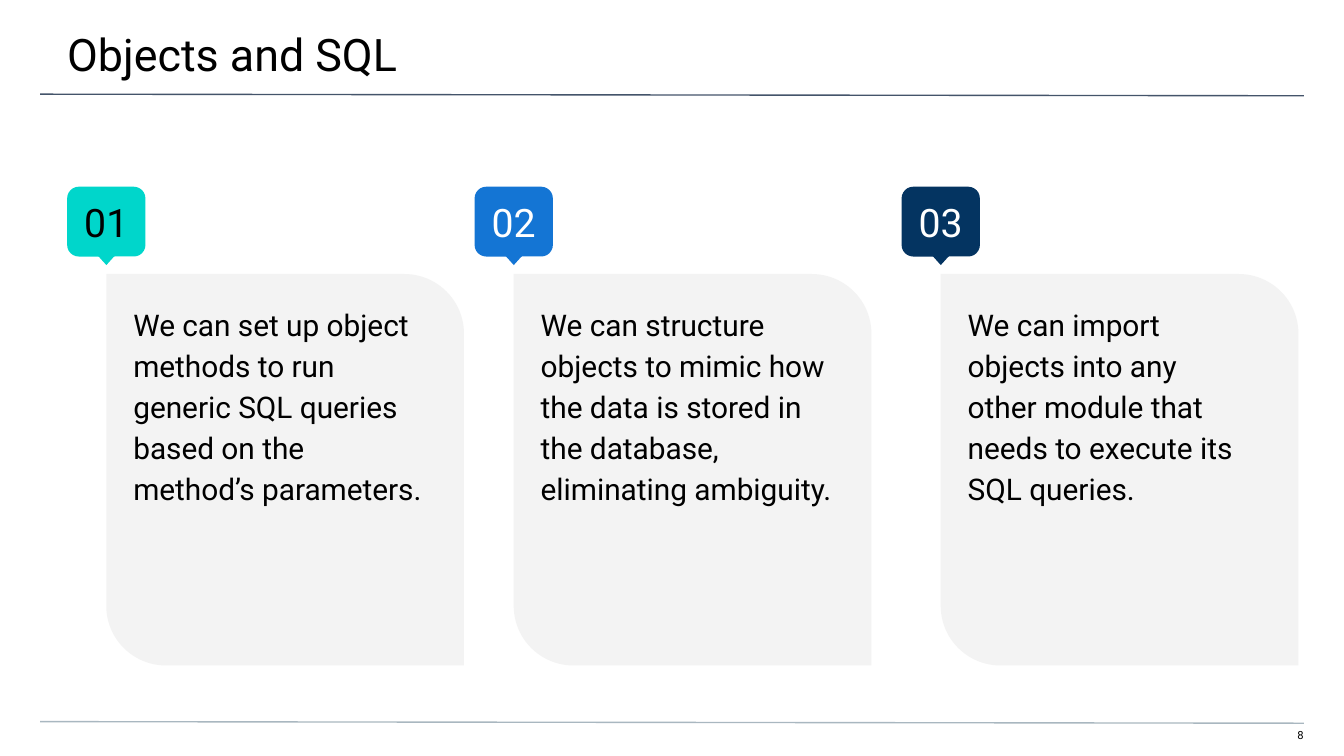
import dataclasses

import pptx
import pptx.dml.color
import pptx.enum.shapes
import pptx.enum.text
import pptx.oxml
import pptx.oxml.ns
import pptx.util

Cm = pptx.util.Cm
KIND = pptx.enum.shapes.MSO_SHAPE
ALIGN = pptx.enum.text.PP_ALIGN
ANCHOR = pptx.enum.text.MSO_ANCHOR


@dataclasses.dataclass(frozen=True)
class Theme:
    font: str = "Roboto"
    dark: str = "000000"
    light: str = "FFFFFF"
    card: str = "F3F3F3"
    top: str = "44546A"
    foot: str = "A9B7C0"
    teal: str = "00D6CB"
    blue: str = "1475D4"
    navy: str = "043461"
    title: float = 24
    badge: float = 21
    body: float = 16
    page: float = 6


def tint(code):
    return pptx.dml.color.RGBColor.from_string(code)


class Deck:
    """Draw styled elements on the current slide."""

    def __init__(self, theme):
        self.theme = theme
        self.file = pptx.Presentation()
        self.file.slide_width = Cm(25.4)
        self.file.slide_height = Cm(14.29)
        self.slide = self.file.slides.add_slide(self.file.slide_layouts[5])

    def label(self, shape, text, size, color, inset, align=ALIGN.LEFT,
              anchor=ANCHOR.TOP, space=1):
        frame = shape.text_frame
        frame.word_wrap = True
        frame.auto_size = pptx.enum.text.MSO_AUTO_SIZE.NONE
        frame.vertical_anchor = anchor
        (frame.margin_left, frame.margin_top,
         frame.margin_right, frame.margin_bottom) = map(Cm, inset)
        para = frame.paragraphs[0]
        para.alignment = align
        para.line_spacing = space
        for i, line in enumerate(text.split("\n")):
            if i:
                para.add_line_break()
            run = para.add_run()
            run.text = line
            run.font.name = self.theme.font
            run.font.size = pptx.util.Pt(size)
            run.font.color.rgb = tint(color)

    def title(self, text):
        shape = self.slide.shapes.title
        shape.left, shape.top = Cm(0), Cm(0)
        shape.width, shape.height = Cm(25.4), Cm(1.47)
        self.label(shape, text, self.theme.title, self.theme.dark,
                   (1.27, 0.51, 0.76, 0.25))

    def text(self, box, text, size, inset, **style):
        shape = self.slide.shapes.add_textbox(*map(Cm, box))
        self.label(shape, text, size, self.theme.dark, inset, **style)

    def shape(self, home, kind, box, fill, adjust=()):
        shape = home.add_shape(kind, *map(Cm, box))
        shape.shadow.inherit = False
        shape.fill.solid()
        shape.fill.fore_color.rgb = tint(fill)
        shape.line.fill.background()
        for i, value in enumerate(adjust):
            shape.adjustments[i] = value
        return shape

    def rule(self, y, color):
        line = self.slide.shapes.add_connector(
            pptx.enum.shapes.MSO_CONNECTOR.STRAIGHT,
            Cm(0.76), Cm(y), Cm(24.64), Cm(y + 0.03))
        line.line.color.rgb = tint(color)
        line.line.width = pptx.util.Pt(0.75)
        props = line._element.spPr
        props.append(pptx.oxml.parse_xml(
            "<a:effectLst %s/>" % pptx.oxml.ns.nsdecls("a")))

    def badge(self, x, text, fill, color):
        home = self.slide.shapes.add_group_shape().shapes
        tag = self.shape(home, KIND.ROUNDED_RECTANGLE,
                         (x, 3.53, 1.48, 1.32), fill, [0.167])
        self.label(tag, text, self.theme.badge, color, [0.25] * 4,
                   ALIGN.CENTER, ANCHOR.MIDDLE)
        tip = self.shape(home, KIND.FLOWCHART_EXTRACT,
                         (x + 0.37, 4.6, 0.74, 0.41), fill)
        tip.rotation = 180

    def card(self, x, text):
        self.shape(self.slide.shapes, KIND.ROUND_2_DIAG_RECTANGLE,
                   (x, 5.18, 6.76, 7.4), self.theme.card, [0, 0.167])
        self.text((x, 5.18, 6.58, 7.4), text, self.theme.body,
                  [0.51] * 4, space=1.15)


def main():
    theme = Theme()
    deck = Deck(theme)
    deck.rule(1.78, theme.top)
    deck.rule(13.64, theme.foot)
    deck.text((23.9, 13.77, 0.74, 0.3), "8", theme.page,
              (0, 0, 0, 0.25), align=ALIGN.RIGHT)
    deck.title("Objects and SQL")
    cards = [
        (1.27, theme.teal, theme.dark,
         "We can set up object methods to run generic SQL queries "
         "based on the method’s parameters."),
        (8.97, theme.blue, theme.light,
         "We can structure objects to mimic how the data is stored in "
         "the database, eliminating ambiguity."),
        (17.04, theme.navy, theme.light,
         "We can import objects into any \nother module that needs to "
         "execute its SQL queries."),
    ]
    for num, (x, fill, color, text) in enumerate(cards, 1):
        deck.card(x + 0.74, text)
        deck.badge(x, f"{num:02}", fill, color)
    deck.file.save("out.pptx")


if __name__ == "__main__":
    main()
